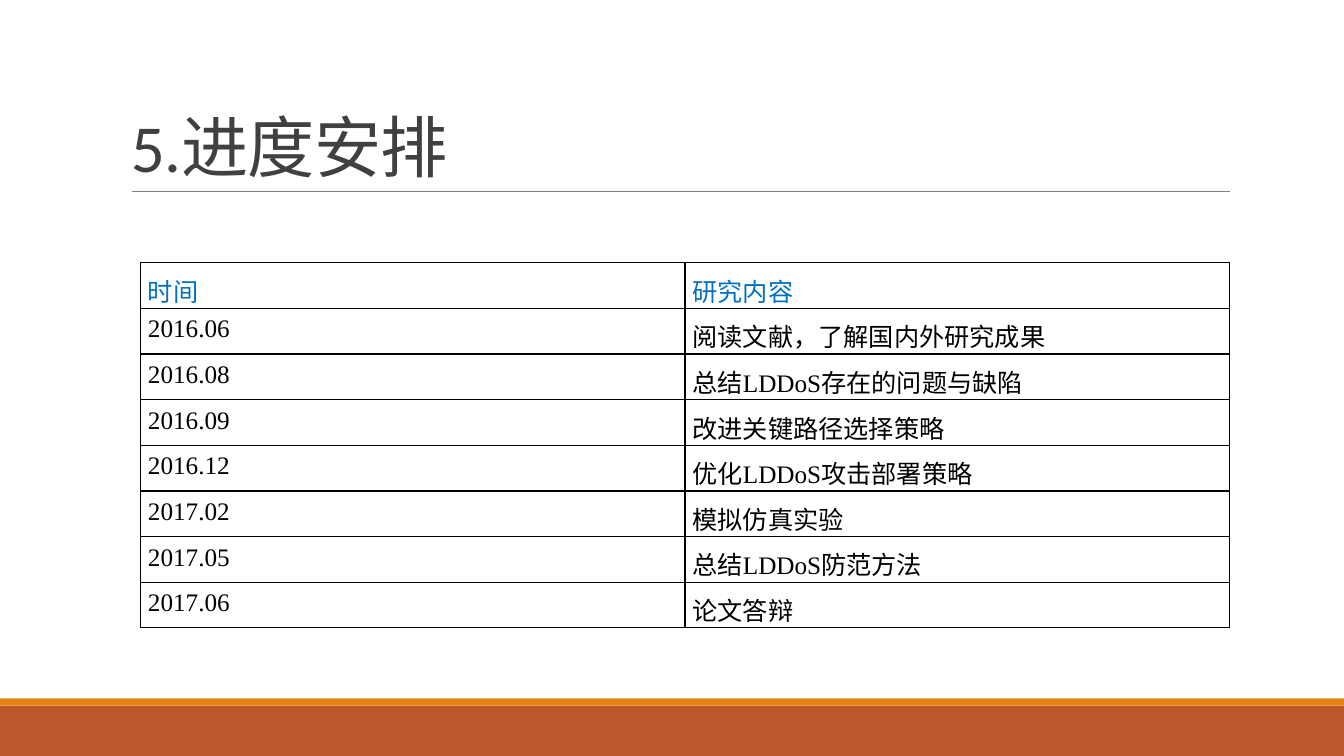
from lxml.etree import SubElement
from pptx import Presentation
from pptx.dml.color import RGBColor
from pptx.enum.shapes import MSO_CONNECTOR, MSO_SHAPE
from pptx.enum.text import MSO_ANCHOR, PP_ALIGN
from pptx.oxml.ns import qn
from pptx.util import Pt

SLIDE_WIDTH, SLIDE_HEIGHT = 960, 540
ROW_HEIGHT = 32.6
SCHEDULE = [
    ("时间", "研究内容"),
    ("2016.06", "阅读文献，了解国内外研究成果"),
    ("2016.08", "总结LDDoS存在的问题与缺陷"),
    ("2016.09", "改进关键路径选择策略"),
    ("2016.12", "优化LDDoS攻击部署策略"),
    ("2017.02", "模拟仿真实验"),
    ("2017.05", "总结LDDoS防范方法"),
    ("2017.06", "论文答辩"),
]


def paint(color_format, color):
    """Set a colour format from a hex string."""
    color_format.rgb = RGBColor.from_string(color)


def fill_solid(fill, color):
    """Make a fill solid in the given colour."""
    fill.solid()
    paint(fill.fore_color, color)


def add_band(slide, top, height, color):
    """Add a borderless band across the whole slide."""
    band = slide.shapes.add_shape(
        MSO_SHAPE.RECTANGLE, 0, Pt(top), Pt(SLIDE_WIDTH), Pt(height))
    band.shadow.inherit = False
    fill_solid(band.fill, color)
    band.line.fill.background()


def add_rule(slide, left, right, y, color):
    """Add a thin horizontal rule without a shadow."""
    rule = slide.shapes.add_connector(
        MSO_CONNECTOR.STRAIGHT, Pt(left), Pt(y), Pt(right), Pt(y))
    paint(rule.line.color, color)
    rule.line.width = Pt(0.5)
    SubElement(rule._element.spPr, qn("a:effectLst"))


def write(paragraph, text, font, size, color, line_spacing):
    """Add one formatted run to a paragraph and return it."""
    paragraph.line_spacing = line_spacing
    run = paragraph.add_run()
    run.text = text
    run.font.name = font
    run.font.size = Pt(size)
    paint(run.font.color, color)
    return run


def add_title(slide, text):
    """Add the bottom-anchored slide title with tightened letters."""
    title = slide.shapes.add_textbox(Pt(86.4), Pt(22.5), Pt(792), Pt(114.3))
    frame = title.text_frame
    frame.word_wrap = True
    frame.vertical_anchor = MSO_ANCHOR.BOTTOM
    run = write(frame.paragraphs[0], text, "Calibri", 48, "404040", 0.85)
    run._r.get_or_add_rPr().set("spc", "-50")


def add_borders(cell, color, width):
    """Draw a solid border on all four sides of a cell."""
    properties = cell._tc.get_or_add_tcPr()
    for index, side in enumerate(("a:lnL", "a:lnR", "a:lnT", "a:lnB")):
        border = properties.makeelement(qn(side), {"w": str(Pt(width))})
        solid = SubElement(border, qn("a:solidFill"))
        SubElement(solid, qn("a:srgbClr"), val=color)
        properties.insert(index, border)


def fill_cell(cell, text, is_header):
    """Format and fill one cell of the schedule."""
    cell.margin_left = cell.margin_right = Pt(5.4)
    cell.margin_top = cell.margin_bottom = 0
    fill_solid(cell.fill, "FFFFFF")
    add_borders(cell, "000000", 1)
    paragraph = cell.text_frame.paragraphs[0]
    paragraph.alignment = PP_ALIGN.LEFT if is_header else PP_ALIGN.JUSTIFY
    color = "0070C0" if is_header else "000000"
    write(paragraph, text, "Times New Roman", 18, color, 1.25)


def add_schedule(slide, entries):
    """Add the schedule table with equal rows and columns."""
    schedule = slide.shapes.add_table(
        len(entries), len(entries[0]),
        Pt(100.3), Pt(187.7), Pt(778), Pt(ROW_HEIGHT * len(entries))).table
    schedule.first_row = False
    schedule.horz_banding = False
    for row, entry in enumerate(entries):
        for column, text in enumerate(entry):
            fill_cell(schedule.cell(row, column), text, row == 0)


def main():
    """Build and save the schedule slide."""
    presentation = Presentation()
    presentation.slide_width = Pt(SLIDE_WIDTH)
    presentation.slide_height = Pt(SLIDE_HEIGHT)
    slide = presentation.slides.add_slide(presentation.slide_layouts[6])
    fill_solid(slide.background.fill, "FFFFFF")
    add_band(slide, 504, 36, "BD582C")
    add_band(slide, 498.8, 5.2, "E48312")
    add_rule(slide, 94, 878.5, 136.8, "808080")
    add_title(slide, "5.进度安排")
    add_schedule(slide, SCHEDULE)
    presentation.save("out.pptx")


main()
